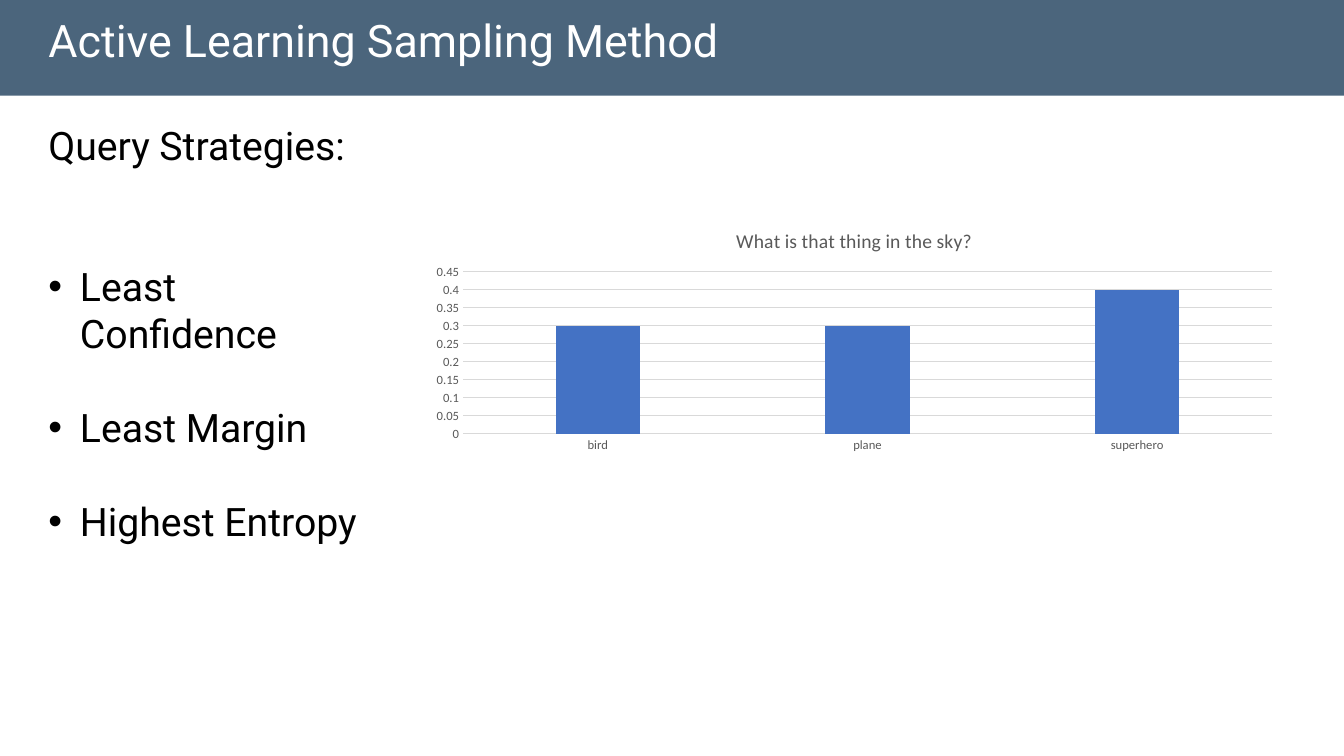
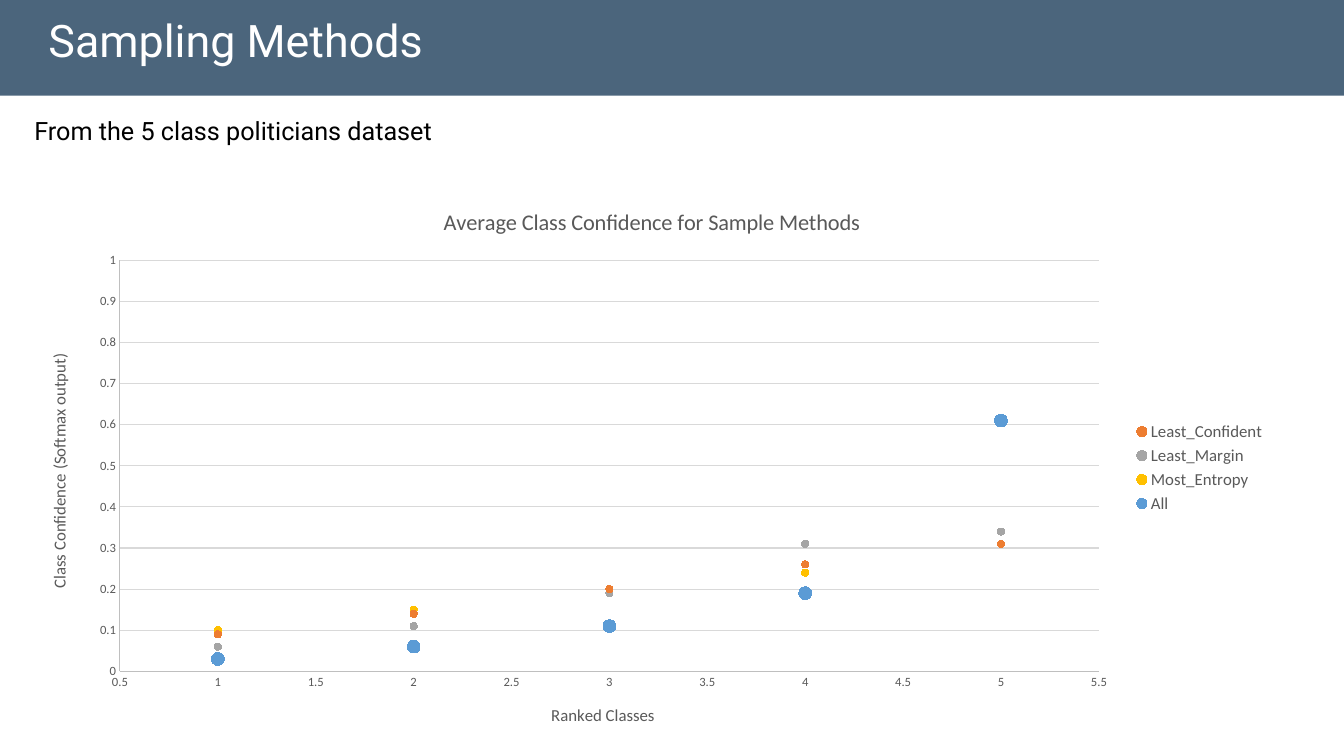
import pptx
import pptx.util
import pptx.chart.data
import pptx.dml.color
import pptx.enum.chart
import pptx.enum.shapes
import pptx.enum.text
import pptx.oxml
import pptx.oxml.ns
from dataclasses import dataclass

Pt = pptx.util.Pt
qn = pptx.oxml.ns.qn
Enum = pptx.enum.chart


@dataclass(frozen=True)
class Theme:
    band: str = "4B657C"
    white: str = "FFFFFF"
    ink: str = "000000"
    grey: str = "595959"
    grid: str = "D9D9D9"
    axis: str = "BFBFBF"
    bar: str = "4472C4"
    font: str = "Roboto"
    plot: str = "Calibri"
    head: int = 32
    list: int = 28
    note: int = 18
    tick: int = 9
    label: int = 12


T = Theme()
WIDE, HIGH = 960, 540

QUERY = {
    "title": "Active Learning Sampling Method",
    "box": (27.4, 83, 250, 312.5),
    "size": T.list,
    "lines": [
        ("Query Strategies:", False, 0),
        ("Least Confidence", True, 67),
        ("Least Margin", True, 33.5),
        ("Highest Entropy", True, 33.5),
    ],
}
SKY = {
    "box": (299.5, 152.6, 621.4, 174.2),
    "plot": (330.7, 194.3, 577.9, 115.7),
    "title": ("What is that thing in the sky?", 14, (523.2, 159.7)),
    "cats": ["bird", "plane", "superhero"],
    "vals": [0.3, 0.3, 0.4],
}
METHOD = {
    "title": "Sampling Methods",
    "box": (17.3, 78.5, 923.8, 138),
    "size": T.note,
    "lines": [("From the 5 class politicians dataset", False, 0)],
}
RANK = {
    "box": (19.4, 133.9, 892.1, 400.3),
    "plot": (85.7, 186, 699.3, 293.6),
    "title": ("Average Class Confidence for Sample Methods", 16, (314, 144.6)),
    "x": ("Ranked Classes", T.label, (391.6, 500.5)),
    "y": ("Class Confidence (Softmax output)", T.label, (32, 250.5)),
    "rows": [
        ("Least_Confident", "ED7D31", 5, [0.09, 0.14, 0.2, 0.26, 0.31]),
        ("Least_Margin", "A5A5A5", 5, [0.06, 0.11, 0.19, 0.31, 0.34]),
        ("Most_Entropy", "FFC000", 5, [0.1, 0.15, 0.19, 0.24, 0.31]),
        ("All", "5B9BD5", 9, [0.03, 0.06, 0.11, 0.19, 0.61]),
    ],
}


def rgb(hue):
    return pptx.dml.color.RGBColor.from_string(hue)


def paint(form, hue):
    form.fill.solid()
    form.fill.fore_color.rgb = rgb(hue)


def style(font, size, hue, face):
    font.size, font.name, font.bold = Pt(size), face, False
    font.color.rgb = rgb(hue)


def move(shape, box):
    shape.left, shape.top, shape.width, shape.height = map(Pt, box)


def write(para, text, size, hue, face):
    run = para.add_run()
    run.text = text
    style(run.font, size, hue, face)


def frame(shape, box):
    move(shape, box)
    text = shape.text_frame
    text.word_wrap = True
    text.auto_size = pptx.enum.text.MSO_AUTO_SIZE.NONE
    text.vertical_anchor = pptx.enum.text.MSO_ANCHOR.TOP
    return text


def bullet(para, on):
    props = para._p.get_or_add_pPr()
    props.set("marL", str(Pt(22.5) if on else 0))
    props.set("indent", str(Pt(-22.5) if on else 0))
    mark = props.makeelement(qn("a:buChar" if on else "a:buNone"), {})
    if on:
        mark.set("char", "•")
    props.append(mark)


def page(deck, data):
    slide = deck.slides.add_slide(deck.slide_layouts[1])
    title, body = slide.placeholders
    band = slide.shapes.add_shape(
        pptx.enum.shapes.MSO_SHAPE.RECTANGLE, 0, 0, Pt(WIDE), Pt(68.4))
    band.shadow.inherit = False
    paint(band, T.band)
    band.line.fill.background()
    title.element.addprevious(band.element)

    para = frame(title, (27.4, 5.8, 771.8, 46)).paragraphs[0]
    para.alignment = pptx.enum.text.PP_ALIGN.LEFT
    write(para, data["title"], T.head, T.white, T.font)

    text = frame(body, data["box"])
    for num, (line, mark, gap) in enumerate(data["lines"]):
        para = text.add_paragraph() if num else text.paragraphs[0]
        para.space_before = Pt(gap)
        bullet(para, mark)
        write(para, line, data["size"], T.ink, T.font)
    return slide


def place(node, rank, box, area):
    for old in node.findall(qn("c:layout")):
        node.remove(old)
    outer = node.makeelement(qn("c:layout"), {})
    inner = outer.makeelement(qn("c:manualLayout"), {})
    outer.append(inner)
    left, top, wide, high = area
    parts = [("xMode", "edge"), ("yMode", "edge"),
             ("x", (box[0] - left) / wide), ("y", (box[1] - top) / high)]
    if len(box) == 4:
        parts = [("layoutTarget", "inner")] + parts
        parts += [("w", box[2] / wide), ("h", box[3] / high)]
    for name, val in parts:
        inner.append(inner.makeelement(qn("c:" + name), {"val": str(val)}))
    node.insert(rank, outer)


def caption(title, data, area):
    text, size, spot = data
    write(title.text_frame.paragraphs[0], text, size, T.grey, T.plot)
    place(title.element, 1, spot, area)


def graph(slide, kind, data, series):
    area = data["box"]
    chart = slide.shapes.add_chart(kind, *map(Pt, area), series).chart
    style(chart.font, 10, T.ink, T.plot)
    chart.has_legend = False
    chart.has_title = True
    caption(chart.chart_title, data["title"], area)
    place(chart.element.find(".//" + qn("c:plotArea")), 0, data["plot"], area)
    for axis in (chart.category_axis, chart.value_axis):
        axis.major_tick_mark = axis.minor_tick_mark = Enum.XL_TICK_MARK.NONE
        style(axis.tick_labels.font, T.tick, T.grey, T.plot)
        axis.format.line.width = Pt(0.75)
    chart.category_axis.has_major_gridlines = False
    chart.value_axis.has_major_gridlines = True
    line = chart.value_axis.major_gridlines.format.line
    line.width = Pt(0.75)
    line.color.rgb = rgb(T.grid)
    return chart


def span(axis, low, top, step):
    axis.minimum_scale, axis.maximum_scale, axis.major_unit = low, top, step


def bars(slide, data):
    series = pptx.chart.data.CategoryChartData()
    series.categories = data["cats"]
    series.add_series("Series 1", data["vals"])
    chart = graph(slide, Enum.XL_CHART_TYPE.COLUMN_CLUSTERED, data, series)
    plot = chart.plots[0]
    plot.vary_by_categories = False
    plot.gap_width, plot.overlap = 219, -27
    paint(plot.series[0].format, T.bar)
    chart.category_axis.format.line.color.rgb = rgb(T.grid)
    chart.value_axis.format.line.fill.background()
    span(chart.value_axis, 0, 0.45, 0.05)


def dots(slide, data):
    series = pptx.chart.data.XyChartData()
    for name, hue, size, vals in data["rows"]:
        row = series.add_series(name)
        for rank, val in enumerate(vals, 1):
            row.add_data_point(rank, val)
    chart = graph(slide, Enum.XL_CHART_TYPE.XY_SCATTER, data, series)
    chart.plots[0].vary_by_categories = False
    for row, (name, hue, size, vals) in zip(chart.plots[0].series, data["rows"]):
        row.format.line.fill.background()
        row.marker.style = Enum.XL_MARKER_STYLE.CIRCLE
        row.marker.size = size
        paint(row.marker.format, hue)
        row.marker.format.line.color.rgb = rgb(hue)
    for axis, key in ((chart.category_axis, "x"), (chart.value_axis, "y")):
        axis.has_title = True
        caption(axis.axis_title, data[key], data["box"])
        axis.format.line.color.rgb = rgb(T.axis)
    turn = chart.value_axis.axis_title.element.find(".//" + qn("a:bodyPr"))
    turn.set("rot", "-5400000")
    turn.set("vert", "horz")
    span(chart.category_axis, 0.5, 5.5, 0.5)
    span(chart.value_axis, 0, 1, 0.1)
    chart.has_legend = True
    chart.legend.position = Enum.XL_LEGEND_POSITION.RIGHT
    chart.legend.include_in_layout = False
    style(chart.legend.font, T.label, T.grey, T.plot)


def main():
    deck = pptx.Presentation()
    deck.slide_width, deck.slide_height = Pt(WIDE), Pt(HIGH)
    bars(page(deck, QUERY), SKY)
    dots(page(deck, METHOD), RANK)
    deck.save("out.pptx")


if __name__ == "__main__":
    main()
